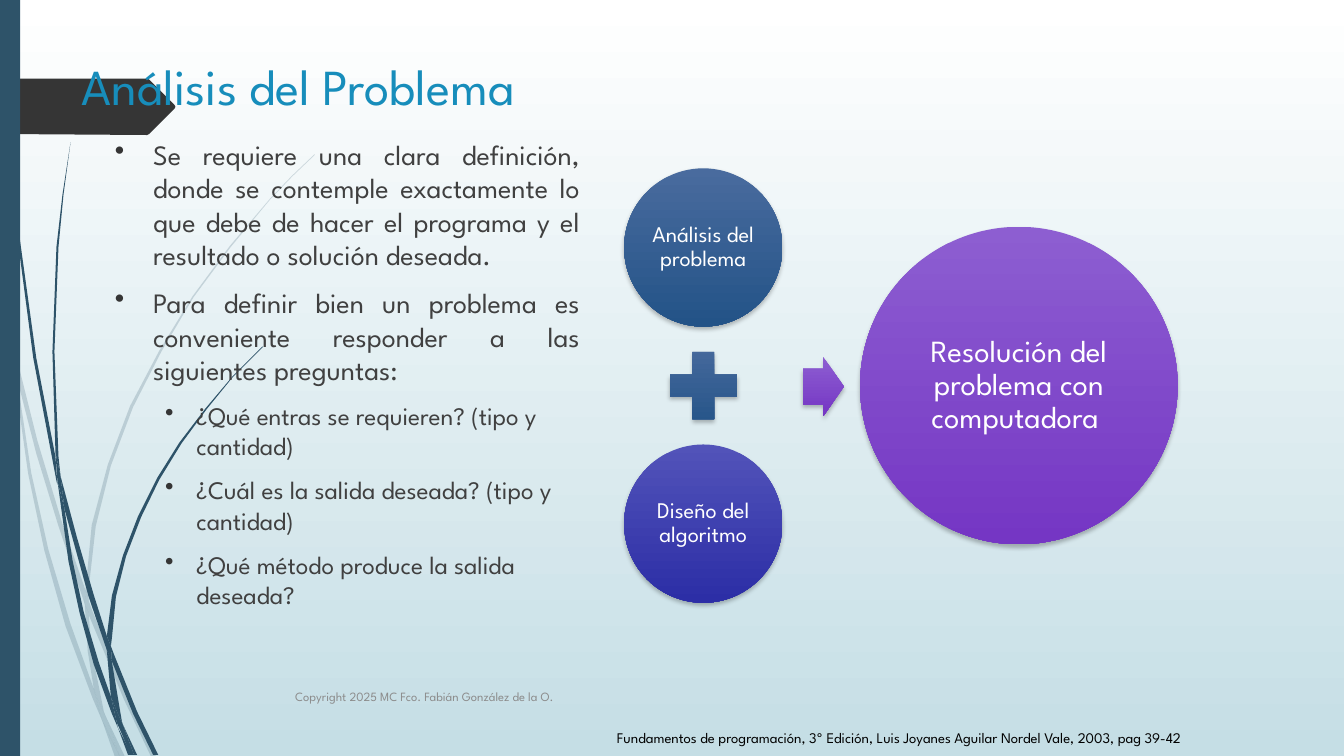
"""Build the slide on problem analysis with its wisps, bullets and process circles."""
import math
import lxml.etree
import pptx
import pptx.dml.color
import pptx.enum.shapes
import pptx.enum.text
import pptx.oxml.ns
import pptx.util

Inches, Pt = pptx.util.Inches, pptx.util.Pt
RGBColor = pptx.dml.color.RGBColor
SHAPE = pptx.enum.shapes.MSO_SHAPE
ALIGN = pptx.enum.text.PP_ALIGN
ANCHOR = pptx.enum.text.MSO_ANCHOR
qn = pptx.oxml.ns.qn

FONT = "League Spartan"
SLATE = RGBColor(0x2E, 0x53, 0x69)
CHARCOAL = RGBColor(0x35, 0x35, 0x35)
BODY_GREY = RGBColor(0x40, 0x40, 0x40)
FOOTER_GREY = RGBColor(0x8C, 0x8C, 0x8C)
TITLE_BLUE = RGBColor(0x17, 0x8D, 0xBB)
WHITE = RGBColor(0xFF, 0xFF, 0xFF)
BLACK = RGBColor(0, 0, 0)
PALE_BLUE = RGBColor(0xC5, 0xDE, 0xE5)
BLUE = (RGBColor(0x49, 0x6B, 0x9E), RGBColor(0x23, 0x53, 0x87))
INDIGO = (RGBColor(0x52, 0x53, 0xB9), RGBColor(0x2C, 0x2E, 0xA6))
PURPLE = (RGBColor(0x8D, 0x5E, 0xD1), RGBColor(0x75, 0x36, 0xC4))

PALE_WISPS = (
    "0.11 3.5 0.09 3.22 0 2.82 0 2.99 0.1 3.44",
    "0.58 5.22 0.84 5.99 0.85 5.86 0.62 5.2 0.37 4.37 0.14 3.45 0.17 3.76 0.36 4.5",
    "0.92 6.07 0.88 5.96 0.88 6.1 1.23 6.94 1.5 7.51 1.55 7.51 1.27 6.92",
    "1.19 7.51 1.24 7.51 1.05 7.11",
    "0.93 6.83 0.7 6.19 0.48 5.45 0.31 4.69 0.17 3.76 0.11 3.5 0.28 4.7 0.44 5.46 0.65 6.21 0.92 6.93 1.01 7.14 0.99 7.07",
    "0.84 5.99 0.87 6.46 0.93 6.83 0.96 6.92 1.05 7.11 1.03 7.06 0.91 6.46 0.88 6.1 0.88 6.08",
    "0.88 5.84 0.95 5.22 1.1 4.62 1.32 4.04 1.6 3.49 1.92 2.95 2.29 2.45 2.68 1.98 2.9 1.75 3.12 1.54 3.12 1.53 2.89 1.75 2.68 1.97 2.28 2.44 1.91 2.94 1.58 3.48 1.29 4.03 1.07 4.61 0.91 5.21 0.85 5.84 0.85 5.86 0.88 5.96",
    "1.01 7.14 1.14 7.51 1.19 7.51",
    "0.88 6.08 0.88 5.96 0.85 5.86 0.84 5.99",
    "0.96 6.92 0.93 6.83 0.99 7.07 1.01 7.14 1.19 7.51 1.05 7.11",
)
DARK_WISPS = (
    "0.07 1.1 0.17 2.33 0.33 3.55 0.56 4.77 0.57 4.81 0.55 4.53 0.36 3.55 0.19 2.32 0.08 1.09 0.05 0.48 0.04 0 0.03 0 0.04 0.48",
    "0.88 5.92 1.06 6.45 1.06 6.31 0.93 5.9 0.76 5.32 0.6 4.72 0.64 5.05",
    "1.13 6.49 1.1 6.41 1.11 6.56 1.32 7.08 1.52 7.49 1.57 7.49 1.36 7.06",
    "1.1 6.91 0.98 6.57 0.83 6.07 0.72 5.56 0.64 5.05 0.57 4.77 0.68 5.57 0.79 6.08 0.93 6.59 1.11 7.08 1.17 7.22 1.16 7.17",
    "0.6 4.72 0.58 4.53 0.54 3.49 0.58 2.45 0.63 1.93 0.7 1.41 0.62 1.93 0.56 2.45 0.52 3.49 0.55 4.49",
    "1.33 7.49 1.36 7.49 1.22 7.19",
    "0.57 4.77 0.64 5.05 0.6 4.72 0.55 4.49",
    "1.11 6.33 1.15 5.92 1.25 5.52 1.4 5.13 1.58 4.76 1.8 4.4 2.05 4.06 2.31 3.74 2.61 3.44 2.6 3.44 2.31 3.73 2.04 4.05 1.78 4.39 1.56 4.74 1.37 5.12 1.22 5.51 1.11 5.91 1.06 6.31 1.1 6.41",
    "1.17 7.22 1.27 7.49 1.31 7.49",
    "1.06 6.45 1.1 6.91 1.16 7.06 1.22 7.19 1.21 7.16 1.11 6.56 1.09 6.51",
    "1.06 6.45 1.11 6.56 1.1 6.41 1.06 6.31",
    "1.16 7.06 1.1 6.91 1.16 7.17 1.3 7.49 1.33 7.49 1.22 7.19",
)
BANNER = "0 0.78 1.46 0.78 1.48 0.79 1.73 1.04 1.74 1.06 1.73 1.08 1.48 1.33 1.46 1.34 0 1.33"


def paint(sp, color):
    sp.fill.solid()
    sp.fill.fore_color.rgb = color
    sp.line.fill.background()
    sp.shadow.inherit = False


def write(p, text, size, color):
    r = p.add_run()
    r.text = text
    for name, value in {"name": FONT, "size": Pt(size), "bold": False}.items():
        setattr(r.font, name, value)
    r.font.color.rgb = color


prs = pptx.Presentation()
prs.slide_width, prs.slide_height = Inches(13.33), Inches(7.5)
s = prs.slides.add_slide(prs.slide_layouts[5])
title = s.shapes.title

bg = s.background.fill
bg.gradient()
bg.gradient_angle = 270
for stop, color in zip(bg.gradient_stops, (WHITE, PALE_BLUE)):
    stop.color.rgb = color

for outlines, color, opacity in ((PALE_WISPS, SLATE, 20), (DARK_WISPS, SLATE, 100), ((BANNER,), CHARCOAL, 100)):
    for outline in outlines:
        values = [Inches(float(v)) for v in outline.split()]
        corners = list(zip(values[::2], values[1::2]))
        builder = s.shapes.build_freeform(*corners[0])
        builder.add_line_segments(corners[1:], close=True)
        sp = builder.convert_to_shape()
        paint(sp, color)
        if opacity < 100:
            clr = sp.element.spPr.find(".//" + qn("a:srgbClr"))
            lxml.etree.SubElement(clr, qn("a:alpha"), val=str(opacity * 1000))

side_bar = s.shapes.add_shape(SHAPE.RECTANGLE, 0, 0, Inches(0.2), Inches(7.5))
paint(side_bar, SLATE)

s.shapes.element.append(title.element)
for name, value in {"left": 0.71, "top": 0.5, "width": 10.29, "height": 0.87}.items():
    setattr(title, name, Inches(value))
title.text_frame.vertical_anchor = ANCHOR.TOP
title.text_frame.paragraphs[0].alignment = ALIGN.LEFT
write(title.text_frame.paragraphs[0], "Análisis del Problema", 36, TITLE_BLUE)

bullets = [
    (0, "Se requiere una clara definición, donde se contemple exactamente lo que debe de hacer el programa y el resultado o solución deseada."),
    (0, "Para definir bien un problema es conveniente responder a las siguientes preguntas:"),
    (1, "¿Qué entras se requieren? (tipo y cantidad)"),
    (1, "¿Cuál es la salida deseada? (tipo y cantidad)"),
    (1, "¿Qué método produce la salida deseada?"),
]
levels = [(ALIGN.JUSTIFY, 20, 0.38, -0.38), (ALIGN.LEFT, 18, 0.81, -0.31)]
tf = s.shapes.add_textbox(Inches(1.04), Inches(1.31), Inches(4.81), Inches(5.45)).text_frame
tf.word_wrap = True
for i, (level, text) in enumerate(bullets):
    p = tf.add_paragraph() if i else tf.paragraphs[0]
    align, size, margin, indent = levels[level]
    for name, value in {"level": level, "alignment": align, "space_before": Pt(10)}.items():
        setattr(p, name, value)
    write(p, text, size, BODY_GREY)
    pPr = p._p.get_or_add_pPr()
    pPr.set("marL", str(Inches(margin)))
    pPr.set("indent", str(Inches(indent)))
    buClr = lxml.etree.SubElement(pPr, qn("a:buClr"))
    lxml.etree.SubElement(buClr, qn("a:srgbClr"), val=str(CHARCOAL))
    lxml.etree.SubElement(pPr, qn("a:buChar"), char="•")

process = [
    (SHAPE.OVAL, (6.19, 1.67, 1.57, 1.57), BLUE, "Análisis del problema", 16, 0.02),
    (SHAPE.MATH_PLUS, (6.52, 3.37, 0.91, 0.91), BLUE, "", 0, 0),
    (SHAPE.OVAL, (6.19, 4.41, 1.57, 1.57), INDIGO, "Diseño del algoritmo", 16, 0.02),
    (SHAPE.RIGHT_ARROW, (7.96, 3.54, 0.41, 0.59), PURPLE, "", 0, 0),
    (SHAPE.OVAL, (8.53, 2.25, 3.15, 3.15), PURPLE, "Resolución del problema con computadora ", 22, 0.03),
]
for kind, box, colors, text, size, inset in process:
    sp = s.shapes.add_shape(kind, *map(Inches, box))
    if kind == SHAPE.RIGHT_ARROW:
        sp.adjustments[0] = 0.6
    sp.fill.gradient()
    sp.fill.gradient_angle = 270
    for stop, color in zip(sp.fill.gradient_stops, colors):
        stop.color.rgb = color
    sp.line.fill.background()
    sp.shadow.inherit = False
    shadow = lxml.etree.SubElement(sp.element.spPr.find(qn("a:effectLst")), qn("a:outerShdw"),
                                   blurRad=str(Pt(3)), dist=str(Pt(2)), dir="5400000", rotWithShape="0")
    clr = lxml.etree.SubElement(shadow, qn("a:srgbClr"), val=str(BLACK))
    lxml.etree.SubElement(clr, qn("a:alpha"), val="25000")
    if text:
        tf = sp.text_frame
        tf.word_wrap = True
        tf.vertical_anchor = ANCHOR.MIDDLE
        for side in ("left", "top", "right", "bottom"):
            setattr(tf, "margin_" + side, Inches(inset))
        p = tf.paragraphs[0]
        p.alignment = ALIGN.CENTER
        p.line_spacing = 0.9
        write(p, text, size, WHITE)

footers = [
    ((2.83, 6.71, 8.33, 0.4), ANCHOR.MIDDLE, "Copyright 2025 MC Fco. Fabián González de la O.", 9, FOOTER_GREY),
    ((6.02, 7.18, 7.31, 0.29), ANCHOR.TOP, "Fundamentos de programación, 3º Edición, Luis Joyanes Aguilar Nordel Vale, 2003, pag 39-42", 10.5, BLACK),
]
for box, anchor, text, size, color in footers:
    tf = s.shapes.add_textbox(*map(Inches, box)).text_frame
    tf.word_wrap = True
    tf.vertical_anchor = anchor
    write(tf.paragraphs[0], text, size, color)

prs.save("out.pptx")
